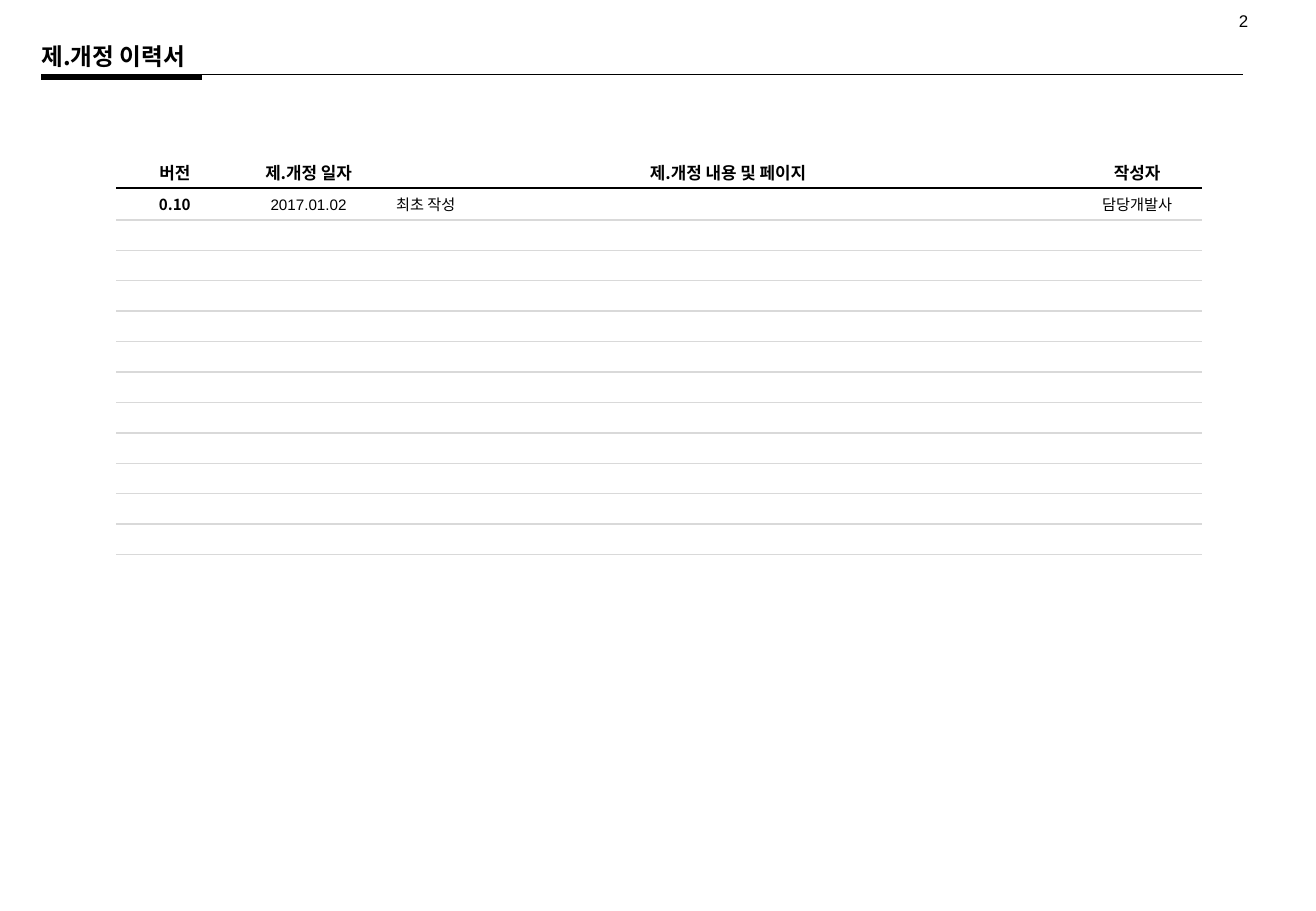
"""Build the revision history slide."""
from typing import NamedTuple

from lxml.etree import SubElement
from pptx import Presentation
from pptx.dml.color import RGBColor
from pptx.enum.shapes import MSO_CONNECTOR as CONN
from pptx.enum.text import MSO_ANCHOR as ANCHOR, PP_ALIGN as ALIGN
from pptx.oxml import parse_xml
from pptx.oxml.ns import nsdecls, qn
from pptx.util import Pt

COLORS = {"ink": "000000", "grid": "D9D9D9"}
SANS, KOREAN = "Arial", "Noto Sans CJK KR"


class Style(NamedTuple):
    font: str
    size: float
    bold: bool = False
    align: ALIGN = ALIGN.LEFT
    before: float = 0
    spacing: float = 0


class Label(NamedTuple):
    text: str
    left: float
    top: float
    width: float
    height: float
    inset: float
    style: Style


class Rule(NamedTuple):
    left: float
    right: float
    y: float
    weight: float


class Column(NamedTuple):
    title: str
    width: float
    entry: str
    style: Style


LABELS = [
    Label("2", 727.2, 2.9, 27.4, 19.4, 7.2, Style(SANS, 10)),
    Label("제.개정 이력서", 24.5, 22.3, 731.5, 21.6, 0, Style(KOREAN, 14, True)),
]
RULES = [Rule(24.5, 736.6, 44.2, 1), Rule(24.5, 119.9, 45.8, 3)]
HEADER = Style(KOREAN, 10, True, ALIGN.CENTER)
COLUMNS = [
    Column("버전", 69.2, "0.10", Style(KOREAN, 9, True, ALIGN.CENTER, 1.8)),
    Column("제.개정 일자", 89.4, "2017.01.02",
           Style(SANS, 9, align=ALIGN.CENTER, spacing=12)),
    Column("제.개정 내용 및 페이지", 407.8, "최초 작성", Style(KOREAN, 9, before=1.8)),
    Column("작성자", 77.2, "담당개발사",
           Style(KOREAN, 9, align=ALIGN.CENTER, before=1.8)),
]
TABLE_LEFT, TABLE_TOP = 69, 92.3
ROW_HEIGHTS = [19.2, 18.9] + [18.05] * 11


def write(tf, text: str, style: Style) -> None:
    """Put one styled paragraph into a text frame."""
    p = tf.paragraphs[0]
    p.text = text
    p.alignment = style.align
    if style.before:
        p.space_before = Pt(style.before)
    if style.spacing:
        p.line_spacing = Pt(style.spacing)
    for r in p.runs:
        r.font.size, r.font.bold = Pt(style.size), style.bold
        r.font.color.rgb = RGBColor.from_string(COLORS["ink"])
        r.font.name = style.font
        SubElement(r.font._element, qn("a:ea"), typeface=style.font)


def add_label(s, label: Label) -> None:
    """Add a vertically centred text box."""
    sp = s.shapes.add_textbox(Pt(label.left), Pt(label.top),
                              Pt(label.width), Pt(label.height))
    tf = sp.text_frame
    tf.word_wrap = True
    tf.vertical_anchor = ANCHOR.MIDDLE
    tf.margin_left = tf.margin_right = Pt(label.inset)
    tf.margin_top = tf.margin_bottom = 0
    write(tf, label.text, label.style)


def add_rule(s, rule: Rule) -> None:
    """Add a horizontal line without a shadow."""
    sp = s.shapes.add_connector(CONN.STRAIGHT, Pt(rule.left), Pt(rule.y),
                                Pt(rule.right), Pt(rule.y))
    sp.line.color.rgb = RGBColor.from_string(COLORS["ink"])
    sp.line.width = Pt(rule.weight)
    SubElement(sp._element.spPr, qn("a:effectLst"))


def border(side: str, color: str = "", weight: float = 0):
    """Return a cell border, invisible when no colour is given."""
    fill = (f'<a:solidFill><a:srgbClr val="{COLORS[color]}"/></a:solidFill>'
            if color else "<a:noFill/>")
    return parse_xml(f'<a:ln{side} {nsdecls("a")} w="{int(Pt(weight))}">{fill}</a:ln{side}>')


def row_line(row: int) -> tuple[str, float]:
    """Return the colour and weight of the line below a row."""
    if row < 0:
        return "", 0
    return ("ink", 1.5) if row == 0 else ("grid", 1)


def format_cell(cell, row: int) -> None:
    """Set margins, fill and borders of a cell."""
    cell.vertical_anchor = ANCHOR.MIDDLE
    cell.margin_top = cell.margin_bottom = 0
    cell.fill.background()
    lines = [border("L"), border("R"), border("T", *row_line(row - 1)),
             border("B", *row_line(row))]
    for i, line in enumerate(lines):
        cell._tc.tcPr.insert(i, line)


def add_history(s) -> None:
    """Add the revision table with its empty rows."""
    width = sum(column.width for column in COLUMNS)
    table = s.shapes.add_table(len(ROW_HEIGHTS), len(COLUMNS), Pt(TABLE_LEFT),
                               Pt(TABLE_TOP), Pt(width), Pt(sum(ROW_HEIGHTS))).table
    table.first_row = table.horz_banding = False
    for row, height in enumerate(ROW_HEIGHTS):
        table.rows[row].height = Pt(height)
        for col, column in enumerate(COLUMNS):
            table.columns[col].width = Pt(column.width)
            cell = table.cell(row, col)
            format_cell(cell, row)
            if row == 0:
                write(cell.text_frame, column.title, HEADER)
            elif row == 1:
                write(cell.text_frame, column.entry, column.style)
            else:
                p = cell.text_frame.paragraphs[0]
                SubElement(p._p, qn("a:endParaRPr"), sz="900")


def main() -> None:
    """Build and save the presentation."""
    prs = Presentation()
    prs.slide_width, prs.slide_height = Pt(780), Pt(540)
    s = prs.slides.add_slide(prs.slide_layouts[6])
    for label in LABELS:
        add_label(s, label)
    add_history(s)
    for rule in RULES:
        add_rule(s, rule)
    prs.save("out.pptx")


if __name__ == "__main__":
    main()
